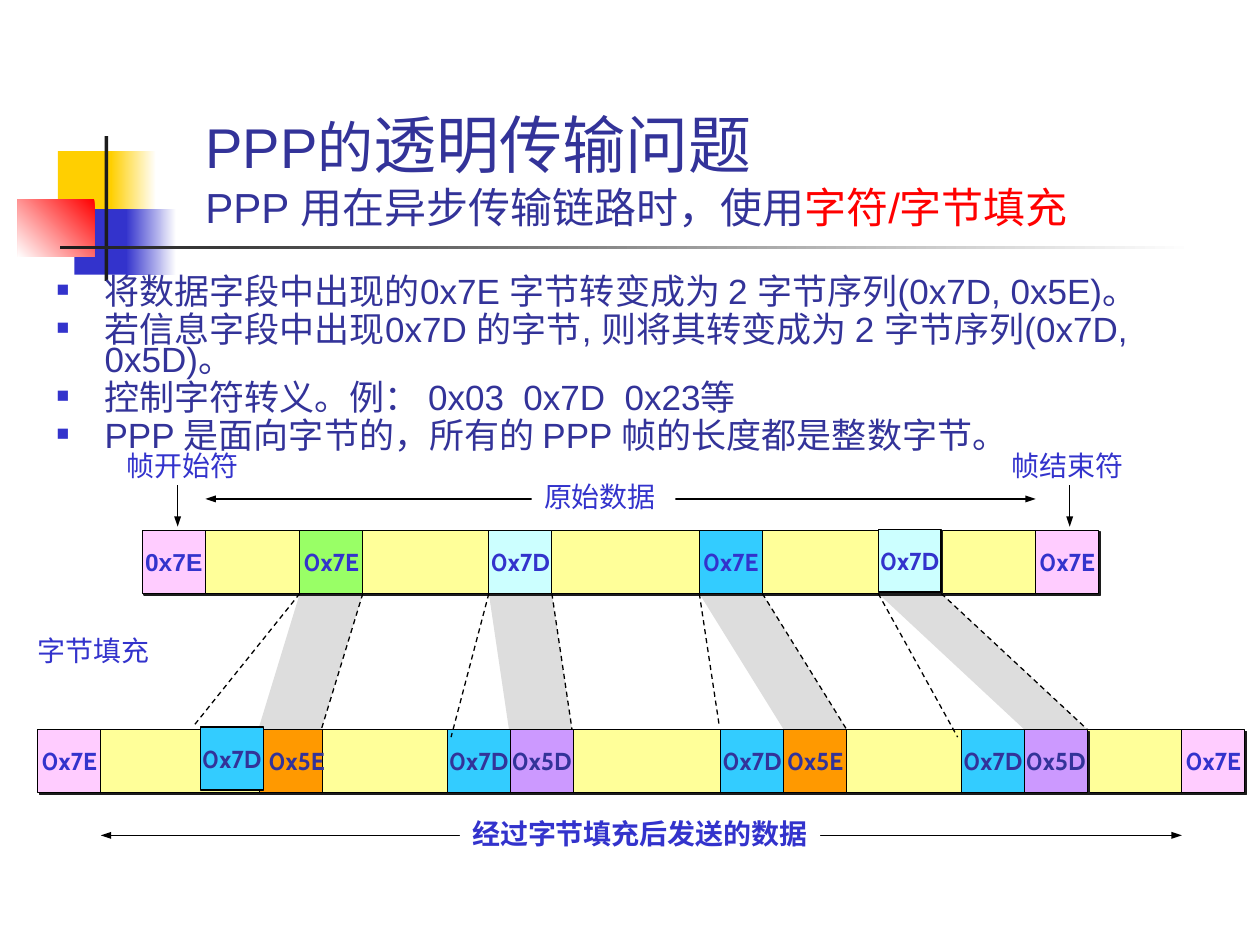
from lxml import etree
from pptx import Presentation
from pptx import util as u
from pptx.dml.color import RGBColor
from pptx.enum import dml, shapes, text
from pptx.oxml import ns

INK = "333399"
BLUE = "3333CC"
PINK = "FFCCFF"
SKY = "33CCFF"
ICE = "CCFFFF"
AMBER = "FF9900"
LILAC = "CC99FF"
CELL = 0.5
TOPS = (1.25, 2.75, 4.42, 5.84)
FEET = (0.92, 2.91, 5.09, 7.0)
ENDS = ((0.4, 1.06), (2.45, 1.14), (4.58, 1.06), (6.47, 1.14))


def rgb(code):
    return RGBColor.from_string(code)


def add(node, tag, **attrs):
    return etree.SubElement(node, ns.qn(tag), **attrs)


def style(font, size=None, color=None, face="Arial", bold=None):
    font.name = face
    font.bold = bold
    if size:
        font.size = u.Pt(size)
    if color:
        font.color.rgb = rgb(color)


def rect(slide, x, y, w, h, fill, edge=False, shade=False):
    shape = slide.shapes.add_shape(
        shapes.MSO_SHAPE.RECTANGLE, *map(u.Inches, (x, y, w, h)))
    shape.shadow.inherit = False
    shape.fill.solid()
    shape.fill.fore_color.rgb = rgb(fill)
    if edge:
        shape.line.color.rgb = rgb("000000")
        shape.line.width = u.Pt(0.75)
    else:
        shape.line.fill.background()
    if shade:
        fx = shape.element.spPr.find(ns.qn("a:effectLst"))
        drop = add(fx, "a:outerShdw", dist="17780", dir="2700000",
                   algn="ctr", rotWithShape="0")
        add(drop, "a:srgbClr", val="1C1C1C")
    return shape


def fade(shape, start, end, angle):
    shape.fill.gradient()
    shape.fill.gradient_angle = angle
    for stop, code in zip(shape.fill.gradient_stops, (start, end)):
        stop.color.rgb = rgb(code)


def line(slide, x1, y1, x2, y2, dash=False, head=False, tail=False):
    link = slide.shapes.add_connector(
        shapes.MSO_CONNECTOR.STRAIGHT, *map(u.Inches, (x1, y1, x2, y2)))
    link.line.color.rgb = rgb("000000")
    link.line.width = u.Pt(0.75)
    if dash:
        link.line.dash_style = dml.MSO_LINE.DASH
    pen = link.line._get_or_add_ln()
    for tag, shown in (("a:headEnd", head), ("a:tailEnd", tail)):
        if shown:
            add(pen, tag, type="triangle", w="sm", len="med")
    add(link.element.spPr, "a:effectLst")


def label(slide, words, x, y, w=1.14, fill=None, bold=None):
    box = slide.shapes.add_textbox(*map(u.Inches, (x, y, w, 0.37)))
    if fill:
        box.fill.solid()
        box.fill.fore_color.rgb = rgb(fill)
    frame = box.text_frame
    frame.word_wrap = False
    frame.auto_size = text.MSO_AUTO_SIZE.NONE
    frame.text = words
    para = frame.paragraphs[0]
    para.alignment = text.PP_ALIGN.LEFT
    style(para.font, 16, BLUE, bold=bold)


def span(slide, box, words, gap, width, bold=None):
    x, y, w = box
    line(slide, x, y, x + w, y, head=True, tail=True)
    label(slide, words, x + gap, y - 0.2, width, "FFFFFF", bold)


def pointer(slide, x, y, words, shift):
    label(slide, words, x - shift, y - 0.34)
    line(slide, x, y, x, y + 0.33, tail=True)


def decor(slide, x, y):
    rect(slide, x + 0.32, y + 0.12, 0.48, 0.52, "FFCF01")
    fade(rect(slide, x + 0.74, y + 0.12, 0.36, 0.52, "FFCF01"),
         "FFFFFF", "FFCF01", 180)
    rect(slide, x + 0.45, y + 0.58, 0.46, 0.52, BLUE)
    fade(rect(slide, x + 0.86, y + 0.58, 0.4, 0.52, BLUE),
         "FFFFFF", BLUE, 180)
    fade(rect(slide, x, y + 0.5, 0.61, 0.46, "FF0000"),
         "FF0000", "FFFFFF", 225)
    rect(slide, x + 0.69, y, 0.03, 1.15, "1C1C1C")
    fade(rect(slide, x + 0.34, y + 0.87, 9, 0.03, "1C1C1C"),
         "FFFFFF", "1C1C1C", 180)


def place(slide, shape, box):
    shape.left, shape.top, shape.width, shape.height = map(u.Inches, box)
    slide.shapes.element.append(shape.element)
    frame = shape.text_frame
    frame.word_wrap = True
    frame.auto_size = text.MSO_AUTO_SIZE.NONE
    return frame


def title(slide, box):
    frame = place(slide, slide.shapes.title, box)
    frame.vertical_anchor = text.MSO_ANCHOR.BOTTOM
    para = frame.paragraphs[0]
    para.alignment = text.PP_ALIGN.LEFT
    style(para.font, color=INK)
    for words, size in (("PPP的", 32), ("透明传输问题", 36), (None, 0),
                        ("PPP 用在异步传输链路时，使用", 24), ("字符/字节填充", 24)):
        if words is None:
            para.add_line_break()
            continue
        run = para.add_run()
        run.text = words
        run.font.size = u.Pt(size)
    run.font.color.rgb = rgb("FF0000")


def body(slide, box):
    frame = place(slide, slide.placeholders[1], box)
    lines = (
        "将数据字段中出现的0x7E 字节转变成为 2 字节序列(0x7D, 0x5E)。",
        "若信息字段中出现0x7D 的字节, 则将其转变成为 2 字节序列(0x7D, 0x5D)。",
        "控制字符转义。例： 0x03  0x7D  0x23等",
        "PPP 是面向字节的，所有的 PPP 帧的长度都是整数字节。",
    )
    frame.text = "\n".join(lines)
    for i, para in enumerate(frame.paragraphs):
        props = para._p.get_or_add_pPr()
        props.set("marL", str(u.Inches(0.38)))
        props.set("indent", str(u.Inches(-0.38)))
        add(add(props, "a:buClr"), "a:srgbClr", val=BLUE)
        add(props, "a:buSzPct", val="60000")
        add(props, "a:buFont", typeface="Arial")
        add(props, "a:buChar", char="■")
        para.line_spacing = 0.7
        para.space_before = u.Pt(5 if i else 0)
        style(para.font, 20, INK)


def cell(slide, x, y, words, fill, color, shade=False, face="Cabin"):
    shape = rect(slide, x, y, CELL, CELL, fill, True, shade)
    frame = shape.text_frame
    frame.word_wrap = False
    frame.vertical_anchor = text.MSO_ANCHOR.MIDDLE
    frame.text = words
    para = frame.paragraphs[0]
    para.alignment = text.PP_ALIGN.CENTER
    style(para.font, 14, color, face, True)


def row(slide, box, cells, color, face="Cabin"):
    x, y, w = box
    cell(slide, x, y, "0x7E", PINK, BLUE, True, face)
    rect(slide, x + CELL, y, w - 2 * CELL, CELL, "FFFF99", True, True)
    for dx, dy, words, fill, shade in cells:
        cell(slide, x + dx, y + dy, words, fill, color, shade)
    cell(slide, x + w - CELL, y, "0x7E", PINK, BLUE, True)


def bands(slide, x, y, h):
    for top, foot in zip(TOPS, FEET):
        spots = [(x + foot, y + h), (x + foot + CELL, y + h),
                 (x + top + CELL, y), (x + top, y)]
        points = [tuple(map(u.Inches, spot)) for spot in spots]
        pen = slide.shapes.build_freeform(*points[0])
        pen.add_line_segments(points[1:])
        shape = pen.convert_to_shape()
        shape.shadow.inherit = False
        shape.fill.solid()
        shape.fill.fore_color.rgb = rgb("DDDDDD")
        shape.line.fill.background()


def dashes(slide, x, y, h):
    for top, foot, (dx, dy) in zip(TOPS, FEET, ENDS):
        line(slide, x + top, y, x + dx, y + dy, dash=True)
        line(slide, x + top + CELL, y, x + foot + CELL, y + h, dash=True)


def main():
    deck = Presentation()
    deck.slide_width, deck.slide_height = u.Inches(10), u.Inches(7.5)
    slide = deck.slides.add_slide(deck.slide_layouts[1])
    decor(slide, 0.14, 1.08)
    title(slide, (1.53, 0.84, 7.89, 1.05))
    body(slide, (0.35, 2.18, 9.65, 1.57))
    gap = (1.13, 4.71, 1.08)
    bands(slide, *gap)
    tags = (("0x7E", "99FF66"), ("0x7D", ICE), ("0x7E", SKY), ("0x7D", ICE))
    raw = [(dx, -0.01 * (i == 3), *tag, i == 3)
           for i, (dx, tag) in enumerate(zip(TOPS, tags))]
    row(slide, (1.13, 4.21, 7.59), raw, BLUE, "Arial")
    sent = [(1.76, 0, ", 0x5E", AMBER, False), (1.29, -0.02, "0x7D", SKY, False)]
    for dx, words, fill in ((3.25, "0x5D", LILAC), (5.42, "0x5E", AMBER),
                            (7.33, "0x5D", LILAC)):
        sent += [(dx, 0, "0x7D", SKY, False),
                 (dx + CELL, 0, words, fill, dx > 7)]
    row(slide, (0.3, 5.79, 9.58), sent, INK)
    dashes(slide, *gap)
    span(slide, (1.63, 3.96, 6.59), "原始数据", 2.59, 1.14)
    span(slide, (0.8, 6.63, 8.58), "经过字节填充后发送的数据", 2.85, 2.86, True)
    pointer(slide, 1.41, 3.85, "帧开始符", 0.5)
    pointer(slide, 8.49, 3.85, "帧结束符", 0.56)
    label(slide, "字节填充", 0.2, 4.98)
    deck.save("out.pptx")


if __name__ == "__main__":
    main()
